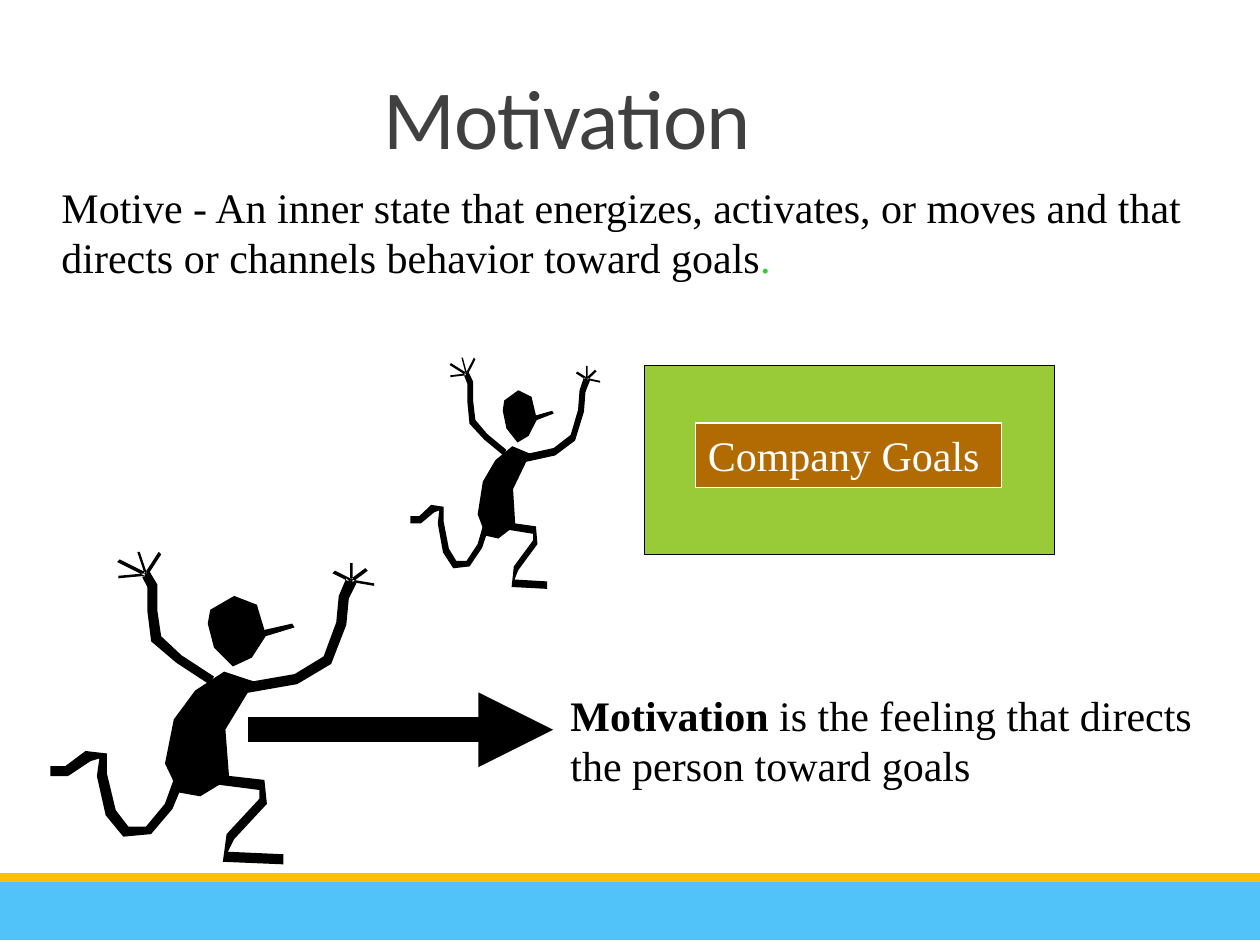
import math

import pptx
import pptx.dml.color
import pptx.enum.shapes
import pptx.enum.text
import pptx.oxml
import pptx.oxml.ns
import pptx.util
from pptx.util import Cm

RGBColor = pptx.dml.color.RGBColor
BLACK = RGBColor(0x00, 0x00, 0x00)
WHITE = RGBColor(0xFF, 0xFF, 0xFF)
GRAY = RGBColor(0x40, 0x40, 0x40)
BLUE = RGBColor(0x51, 0xC3, 0xF9)
GOLD = RGBColor(0xFF, 0xC0, 0x00)
GREEN = RGBColor(0x99, 0xCB, 0x38)
BRIGHT_GREEN = RGBColor(0x33, 0xCC, 0x33)
BROWN = RGBColor(0xB2, 0x6B, 0x02)

BODY = {"name": "Times New Roman", "size": pptx.util.Pt(24), "color": BLACK, "bold": False}
HEADING = {"name": "Calibri", "size": pptx.util.Pt(48), "color": GRAY, "bold": False}

# Content: each text is a list of paragraphs, each paragraph a list of (text, changes)
TITLE = [[("Motivation", {})]]
MOTIVE = [[("Motive - An inner state that energizes, activates, or moves and that "
            "directs or channels behavior toward goals", {}),
           (".", {"color": BRIGHT_GREEN})]]
MOTIVATION = [[("Motivation", {"bold": True}), (" is the feeling that directs", {})],
              [("the person toward goals", {})]]
GOALS = [[("Company Goals", {"color": WHITE})]]

# Boxes in cm: left, top, width, height, fill, line, text
RECTANGLES = [
    (0, 17.68, 25.4, 1.27, BLUE, None, None),
    (0, 17.6, 25.4, 0.18, GOLD, None, None),
    (13, 7.37, 8.26, 3.81, GREEN, BLACK, None),
    (14.02, 8.53, 6.17, 1.3, BROWN, WHITE, GOALS),
]
TEXT_BOXES = [
    (0.99, 3.53, 24.4, 2.31, MOTIVE),
    (11.25, 13.77, 13.36, 2.31, MOTIVATION),
]

# Runner on a grid whose corner is at GRID_CORNER: solid parts by outline,
# limbs by centre line, hands by finger tips
GRID_CORNER = (39, 437)
GRID_SIZE = (258, 250)
LIMB_HALF_WIDTH = 4
FINGER_HALF_WIDTH = 1.5
SOLIDS = [
    # head with nose
    [(210, 500), (204, 480), (186, 473), (167, 484), (165, 495), (170, 514), (185, 529),
     (200, 522), (211, 505), (234, 498), (232, 495)],
    # body
    [(155, 548), (178, 533), (202, 541), (179, 579), (182, 618), (159, 632), (142, 629),
     (131, 606), (138, 571)],
]
LIMBS = [
    # front leg, back leg, left arm, right arm
    ([(140, 620), (175, 619), (208, 623), (209, 636), (183, 664), (179, 680), (225, 682)], []),
    ([(143, 617), (134, 640), (118, 659), (100, 660), (88, 645), (81, 615), (82, 600),
      (70, 600), (53, 612), (40, 612)], []),
    ([(168, 540), (142, 523), (124, 507), (121, 485), (121, 465), (116, 456)],
     [(94, 458), (94, 445), (110, 438), (127, 439)]),
    ([(195, 546), (235, 539), (260, 524), (271, 495), (273, 474), (279, 461)],
     [(265, 454), (279, 447), (291, 452), (297, 464)]),
]
# Each runner in cm: left, top, width, height
RUNNERS = [(8.26, 7.19, 3.84, 4.7), (0.99, 11.1, 6.55, 6.35)]


def write_text(frame, paragraphs, base):
    frame.word_wrap = True
    for index, runs in enumerate(paragraphs):
        paragraph = frame.add_paragraph() if index else frame.paragraphs[0]
        paragraph.alignment = pptx.enum.text.PP_ALIGN.LEFT
        for text, changes in runs:
            run = paragraph.add_run()
            run.text = text
            for name, value in {**base, **changes}.items():
                if name == "color":
                    run.font.color.rgb = value
                else:
                    setattr(run.font, name, value)


def paint(shape, fill, line=None):
    shape.shadow.inherit = False
    shape.fill.solid()
    shape.fill.fore_color.rgb = fill
    if line is None:
        shape.line.fill.background()
    else:
        shape.line.color.rgb = line
        shape.line.width = pptx.util.Pt(0.75)


def thicken(line, half_width, tips=()):
    """Outline of a centre line, with a finger to each tip at its end."""
    left_side, right_side = [], []
    for index, (x, y) in enumerate(line):
        before, after = line[max(index - 1, 0)], line[min(index + 1, len(line) - 1)]
        dx, dy = after[0] - before[0], after[1] - before[1]
        factor = half_width / math.hypot(dx, dy)
        left_side.append((x + dy * factor, y - dx * factor))
        right_side.append((x - dy * factor, y + dx * factor))
    fingers = [point for tip in tips
               for point in thicken([line[-1], tip], FINGER_HALF_WIDTH)]
    return left_side + fingers + right_side[::-1]


def add_runner(shapes, left, top, width, height):
    scale = (Cm(width) / GRID_SIZE[0], Cm(height) / GRID_SIZE[1])
    origin = [int(Cm(start) - corner * factor)
              for start, corner, factor in zip((left, top), GRID_CORNER, scale)]
    limbs = [thicken(line, LIMB_HALF_WIDTH, tips) for line, tips in LIMBS]
    for points in SOLIDS + limbs:
        builder = shapes.build_freeform(*points[0], scale=scale)
        builder.add_line_segments(points[1:], close=True)
        paint(builder.convert_to_shape(*origin), BLACK)


def main():
    presentation = pptx.Presentation()
    presentation.slide_width, presentation.slide_height = Cm(25.4), Cm(19.05)
    slide = presentation.slides.add_slide(presentation.slide_layouts[5])
    shapes = slide.shapes

    # Title
    title = shapes.title
    title.left, title.top, title.width, title.height = Cm(0), Cm(0.86), Cm(22.86), Cm(2.62)
    write_text(title.text_frame, TITLE, HEADING)
    title.text_frame.auto_size = pptx.enum.text.MSO_AUTO_SIZE.NONE
    title.text_frame.vertical_anchor = pptx.enum.text.MSO_ANCHOR.BOTTOM
    heading = title.text_frame.paragraphs[0]
    heading.alignment = pptx.enum.text.PP_ALIGN.CENTER
    heading.line_spacing = 0.85
    heading.runs[0]._r.get_or_add_rPr().set("spc", "-50")

    # Footer bands and goal sign
    for *place, fill, line, text in RECTANGLES:
        rectangle = shapes.add_shape(pptx.enum.shapes.MSO_SHAPE.RECTANGLE, *map(Cm, place))
        paint(rectangle, fill, line)
        if text:
            write_text(rectangle.text_frame, text, BODY)
            rectangle.text_frame.vertical_anchor = pptx.enum.text.MSO_ANCHOR.TOP

    # Definitions
    for *place, text in TEXT_BOXES:
        write_text(shapes.add_textbox(*map(Cm, place)).text_frame, text, BODY)

    # Arrow from the runner to the definition
    arrow = shapes.add_connector(pptx.enum.shapes.MSO_CONNECTOR.STRAIGHT,
                                 Cm(5), Cm(14.71), Cm(11.15), Cm(14.71))
    arrow.line.color.rgb = BLACK
    arrow.line.width = pptx.util.Pt(14.25)
    tail = pptx.oxml.parse_xml(f'<a:tailEnd {pptx.oxml.ns.nsdecls("a")} type="triangle"/>')
    arrow.line._get_or_add_ln().append(tail)
    arrow._element.spPr.append(
        pptx.oxml.parse_xml(f'<a:effectLst {pptx.oxml.ns.nsdecls("a")}/>'))

    # Runners
    for place in RUNNERS:
        add_runner(shapes, *place)

    presentation.save("out.pptx")


if __name__ == "__main__":
    main()
